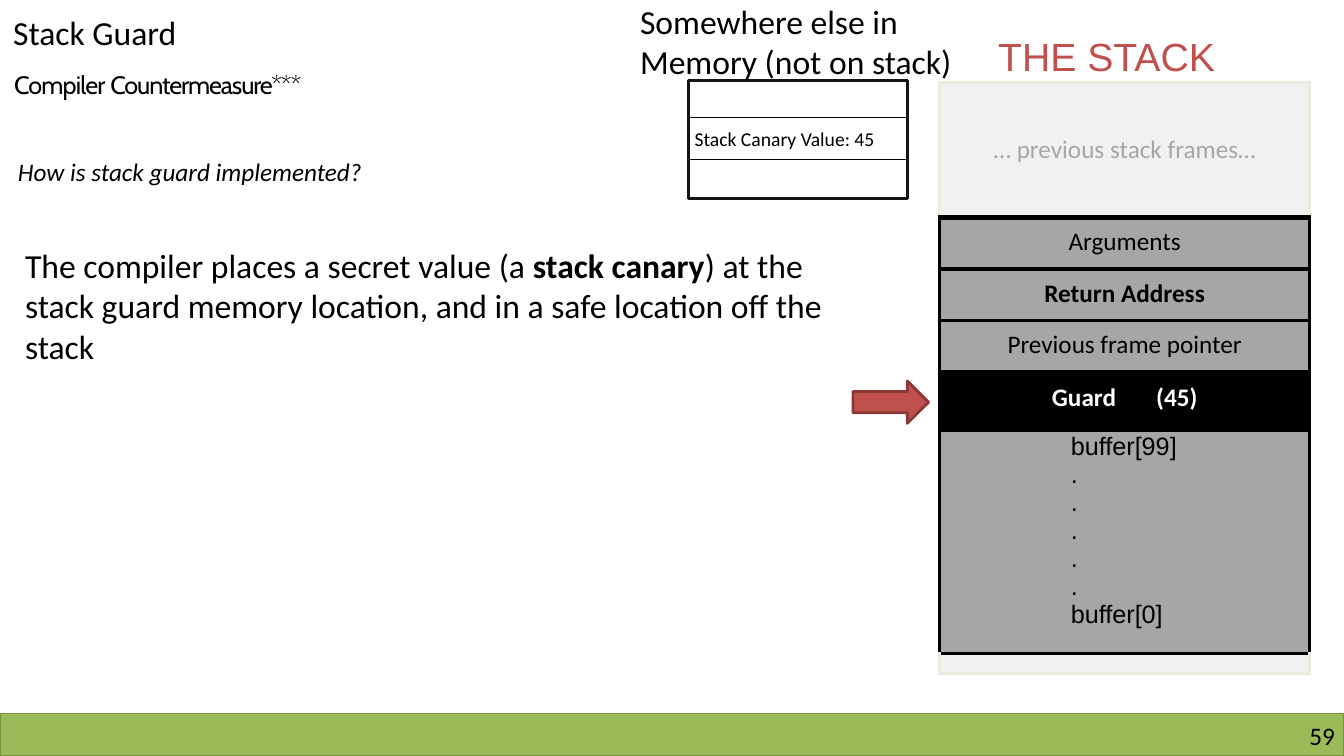
from lxml.etree import SubElement
from pptx import Presentation
from pptx.dml.color import RGBColor
from pptx.enum.shapes import MSO_CONNECTOR, MSO_SHAPE
from pptx.enum.text import PP_ALIGN
from pptx.oxml.ns import qn
from pptx.util import Inches, Pt

BLACK, GREY, PALE, BEIGE, RED = "000000", "A6A6A6", "F1F1F1", "EDEBE0", "C0504D"


def add_text(paragraph, text, size=18, font="Calibri", color=BLACK,
             bold=False, italic=False, spacing=0):
    """Append a run; spacing is the extra space per character in points."""
    run = paragraph.add_run()
    run.text = text
    run.font.size = Pt(size)
    run.font.name = font
    run.font.bold = bold
    run.font.italic = italic
    run.font.color.rgb = RGBColor.from_string(color)
    if spacing:
        run.font._element.set("spc", str(round(spacing * 100)))


def add_box(left, top, width, height, wrap=True, margins=(0.1, 0.05, 0.1, 0.05)):
    """Add an empty text box and return its first paragraph."""
    frame = slide.shapes.add_textbox(
        Inches(left), Inches(top), Inches(width), Inches(height)).text_frame
    frame.word_wrap = wrap
    (frame.margin_left, frame.margin_top,
     frame.margin_right, frame.margin_bottom) = map(Inches, margins)
    return frame.paragraphs[0]


presentation = Presentation()
presentation.slide_width = Inches(13.33)
presentation.slide_height = Inches(7.5)
slide = presentation.slides.add_slide(presentation.slide_layouts[6])

# Footer bar, arrow to the guard, and off-stack memory block
for kind, bounds, fill, line, width in [
    (MSO_SHAPE.RECTANGLE, (0, 7.08, 13.33, 0.42), "9BBB59", "77933C", 1),
    (MSO_SHAPE.RIGHT_ARROW, (8.46, 3.78, 0.75, 0.42), RED, "8B3836", 2),
    (MSO_SHAPE.RECTANGLE, (6.83, 0.8, 2.17, 1.17), None, "151414", 2),
]:
    shape = slide.shapes.add_shape(kind, *map(Inches, bounds))
    shape.shadow.inherit = False
    if fill:
        shape.fill.solid()
        shape.fill.fore_color.rgb = RGBColor.from_string(fill)
    else:
        shape.fill.background()
    shape.line.color.rgb = RGBColor.from_string(line)
    shape.line.width = Pt(width)

for y in (1.17, 1.58):
    divider = slide.shapes.add_connector(
        MSO_CONNECTOR.STRAIGHT, Inches(6.83), Inches(y), Inches(9), Inches(y))
    divider.line.color.rgb = RGBColor.from_string(BLACK)
    divider.line.width = Pt(0.75)
    SubElement(divider._element.spPr, qn("a:effectLst"))

# Headings and body text
heading_margins = (0.01, 0.01, 0, 0)
page_number = add_box(10.17, 7.15, 3.07, 0.3, margins=(0, 0, 0, 0))
page_number.alignment = PP_ALIGN.RIGHT
add_text(page_number, "59")
add_text(add_box(0.12, 0.11, 1.88, 0.43, margins=heading_margins), "Stack Guard", size=24)
add_text(add_box(9.89, 0.31, 2.21, 0.49, margins=heading_margins),
         "THE STACK", size=28, font="Arial", color=RED)
subtitle = add_box(0.13, 0.68, 3.02, 0.33, margins=heading_margins)
add_text(subtitle, "Compiler ", font="Cabin", spacing=-0.6)
add_text(subtitle, "Countermeasure***", font="Cabin", spacing=-0.8)
add_text(add_box(0.08, 1.5, 3.99, 0.4, wrap=False),
         "How is stack guard implemented?", italic=True)
add_text(add_box(6.79, 1.21, 2.26, 0.34, wrap=False), "Stack Canary Value: 45", size=14)
add_text(add_box(6.25, -0.04, 3.83, 0.91),
         "Somewhere else in Memory (not on stack)", size=24)
body = add_box(0.15, 2.38, 8.27, 1.31)
add_text(body, "The compiler places a secret value (a ", size=24)
add_text(body, "stack canary", size=24, bold=True)
add_text(body, ") at the stack guard memory location, and in a safe location off the stack",
         size=24)

# Stack table: height, fill, side border colour, top margin
rows = [
    (1.34, PALE, BEIGE, 0.51),
    (0.51, GREY, BLACK, 0.09),
    (0.51, GREY, BLACK, 0.09),
    (0.5, GREY, BLACK, 0.09),
    (0.6, BLACK, BLACK, 0.12),
    (2.2, GREY, BLACK, 0),
    (0.2, PALE, BEIGE, 0),
]
# Horizontal borders from the top of the table to its bottom
edges = [(BEIGE, 2.25), (BLACK, 4.5), (BLACK, 3), (BLACK, 3),
         (BLACK, 2.25), (BLACK, 1), (BLACK, 2.25), (BEIGE, 2.25)]
stack = slide.shapes.add_table(
    len(rows), 1, Inches(9.32), Inches(0.82), Inches(3.67), Inches(5.86)).table
stack.first_row = False
stack.horz_banding = False
for index, (height, fill, side, top_margin) in enumerate(rows):
    stack.rows[index].height = Inches(height)
    cell = stack.cell(index, 0)
    cell.margin_left = cell.margin_right = cell.margin_bottom = 0
    cell.margin_top = Inches(top_margin)
    cell_properties = cell._tc.get_or_add_tcPr()
    for tag, (color, width) in zip(
            ("a:lnL", "a:lnR", "a:lnT", "a:lnB"),
            ((side, 2.25), (side, 2.25), edges[index], edges[index + 1])):
        border = SubElement(cell_properties, qn(tag), w=str(Pt(width)))
        SubElement(SubElement(border, qn("a:solidFill")), qn("a:srgbClr"), val=color)
    cell.fill.solid()
    cell.fill.fore_color.rgb = RGBColor.from_string(fill)

frames = [stack.cell(index, 0).text_frame for index in range(len(rows))]
for frame in frames[:5]:
    frame.paragraphs[0].alignment = PP_ALIGN.CENTER
previous, arguments, return_address, frame_pointer, guard = [
    frame.paragraphs[0] for frame in frames[:5]]
add_text(previous, "… previous stack frames…", color=GREY)
add_text(arguments, "Arguments")
add_text(return_address, "Return Address", bold=True)
add_text(frame_pointer, "Previous frame pointer")
add_text(guard, "Guard", color="FFFFFF", bold=True)
add_text(guard, " ", bold=True, spacing=24.5)
add_text(guard, "(45)", color="FFFFFF", bold=True)

buffer_frame = frames[5]
for index, text in enumerate(["buffer[99]", *"." * 5, "buffer[0]"]):
    paragraph = buffer_frame.add_paragraph() if index else buffer_frame.paragraphs[0]
    paragraph._p.get_or_add_pPr().set("marL", str(Inches(1.3)))
    paragraph.line_spacing = Pt(20 if index else 21)
    add_text(paragraph, text, font="Arial")

# Small type keeps the empty last row at its height
SubElement(frames[6].paragraphs[0]._p, qn("a:endParaRPr"), sz="800")

presentation.save("out.pptx")
